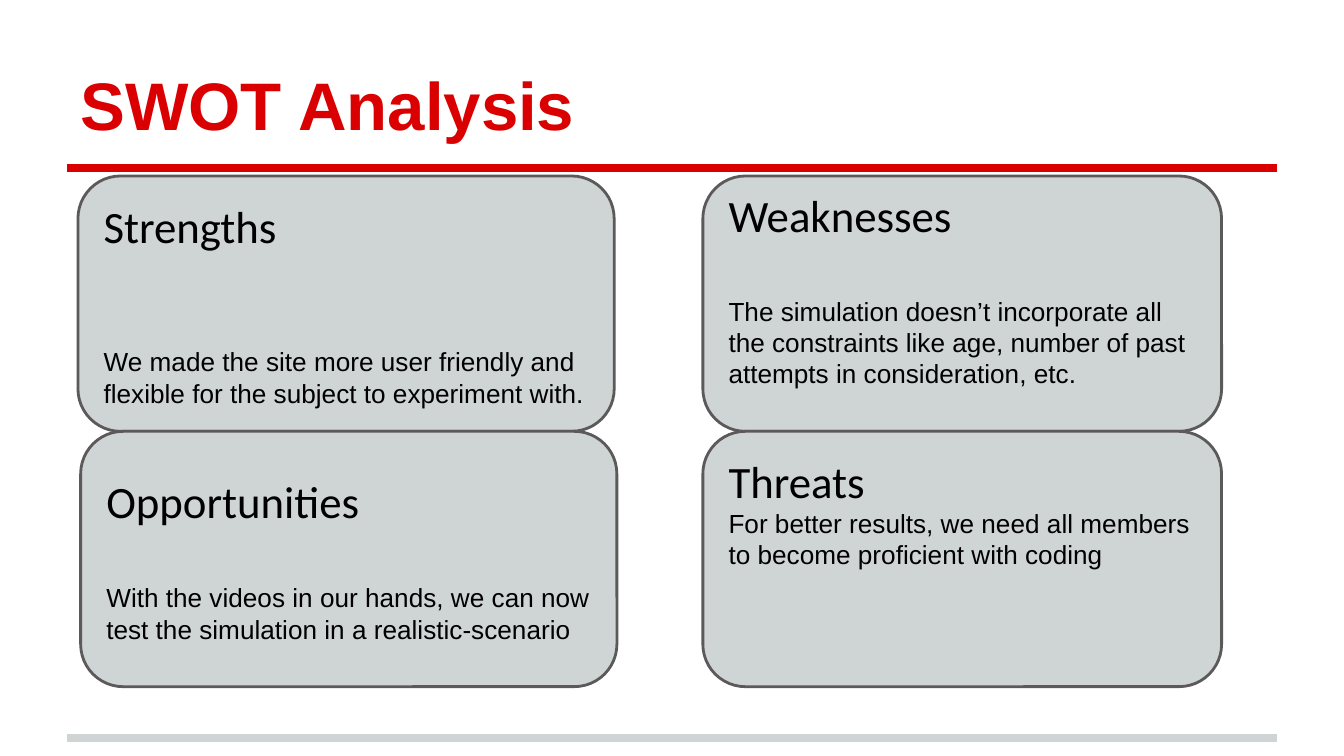
from dataclasses import dataclass

import pptx
from pptx.dml.color import RGBColor
from pptx.enum.shapes import MSO_CONNECTOR, MSO_SHAPE
from pptx.enum.text import MSO_ANCHOR, MSO_AUTO_SIZE, PP_ALIGN
from pptx.oxml.ns import qn
from pptx.util import Inches, Pt


@dataclass(frozen=True)
class Theme:
    red: RGBColor = RGBColor(0xDA, 0x00, 0x02)
    gray: RGBColor = RGBColor(0xCF, 0xD4, 0xD4)
    outline: RGBColor = RGBColor(0x5B, 0x59, 0x5A)
    black: RGBColor = RGBColor(0, 0, 0)
    heading_font: str = "Calibri"
    body_font: str = "Arial"
    title_size: int = 36
    heading_size: int = 24
    body_size: int = 14


THEME = Theme()
MARGIN = 0.1
CARD_TOP, CARD_HEIGHT = 1.31, 1.9

# row, left, width, heading, body, gap under heading (pt), room under body (in)
CARDS = [
    (0, 0.58, 3.99, "Strengths",
     "We made the site more user friendly and flexible for the subject "
     "to experiment with.", 50, 0),
    (0, 5.23, 3.86, "Weaknesses",
     "The simulation doesn’t incorporate all the constraints like age, "
     "number of past attempts in consideration, etc.", 29, 0.23),
    (1, 0.6, 3.99, "Opportunities",
     "With the videos in our hands, we can now test the simulation in a "
     "realistic-scenario", 29, 0),
    (1, 5.23, 3.86, "Threats",
     "For better results, we need all members to become proficient with "
     "coding", 0, 0.7),
]


def set_margins(text_frame, extra_bottom=0):
    text_frame.margin_left = text_frame.margin_right = Inches(MARGIN)
    text_frame.margin_top = Inches(MARGIN)
    text_frame.margin_bottom = Inches(MARGIN + extra_bottom)


def format_paragraph(paragraph, font_name, size, color, bold=False):
    paragraph.alignment = PP_ALIGN.LEFT
    for run in paragraph.runs:
        run.font.name = font_name
        run.font.size = Pt(size)
        run.font.bold = bold
        run.font.color.rgb = color


def add_rule(slide, y, color):
    rule = slide.shapes.add_connector(
        MSO_CONNECTOR.STRAIGHT, Inches(0.5), Inches(y), Inches(9.5), Inches(y))
    rule.line.color.rgb = color
    rule.line.width = Pt(4)
    properties = rule._element.spPr
    properties.append(properties.makeelement(qn("a:effectLst"), {}))


def set_title(slide, text):
    title = slide.shapes.title
    title.left, title.top = Inches(0.5), Inches(0.23)
    title.width, title.height = Inches(9), Inches(0.94)
    text_frame = title.text_frame
    text_frame.text = text
    text_frame.auto_size = MSO_AUTO_SIZE.NONE
    text_frame.vertical_anchor = MSO_ANCHOR.BOTTOM
    set_margins(text_frame)
    format_paragraph(text_frame.paragraphs[0], THEME.body_font,
                     THEME.title_size, THEME.red, bold=True)


def add_card(slide, row, left, width, heading, body, gap, room_below):
    card = slide.shapes.add_shape(
        MSO_SHAPE.ROUNDED_RECTANGLE, Inches(left),
        Inches(CARD_TOP + row * CARD_HEIGHT), Inches(width), Inches(CARD_HEIGHT))
    card.shadow.inherit = False
    card.fill.solid()
    card.fill.fore_color.rgb = THEME.gray
    card.line.color.rgb = THEME.outline
    card.line.width = Pt(1.5)

    text_frame = card.text_frame
    text_frame.word_wrap = True
    text_frame.vertical_anchor = MSO_ANCHOR.MIDDLE
    set_margins(text_frame, room_below)
    text_frame.text = heading
    format_paragraph(text_frame.paragraphs[0], THEME.heading_font,
                     THEME.heading_size, THEME.black)
    paragraph = text_frame.add_paragraph()
    paragraph.text = body
    paragraph.space_before = Pt(gap)
    format_paragraph(paragraph, THEME.body_font, THEME.body_size, THEME.black)


def main():
    presentation = pptx.Presentation()
    presentation.slide_width = Inches(10)
    presentation.slide_height = Inches(10 * 9 / 16)
    slide = presentation.slides.add_slide(presentation.slide_layouts[5])
    add_rule(slide, 5.49, THEME.gray)
    add_rule(slide, 1.25, THEME.red)
    set_title(slide, "SWOT Analysis")
    for card in CARDS:
        add_card(slide, *card)
    presentation.save("out.pptx")


if __name__ == "__main__":
    main()
